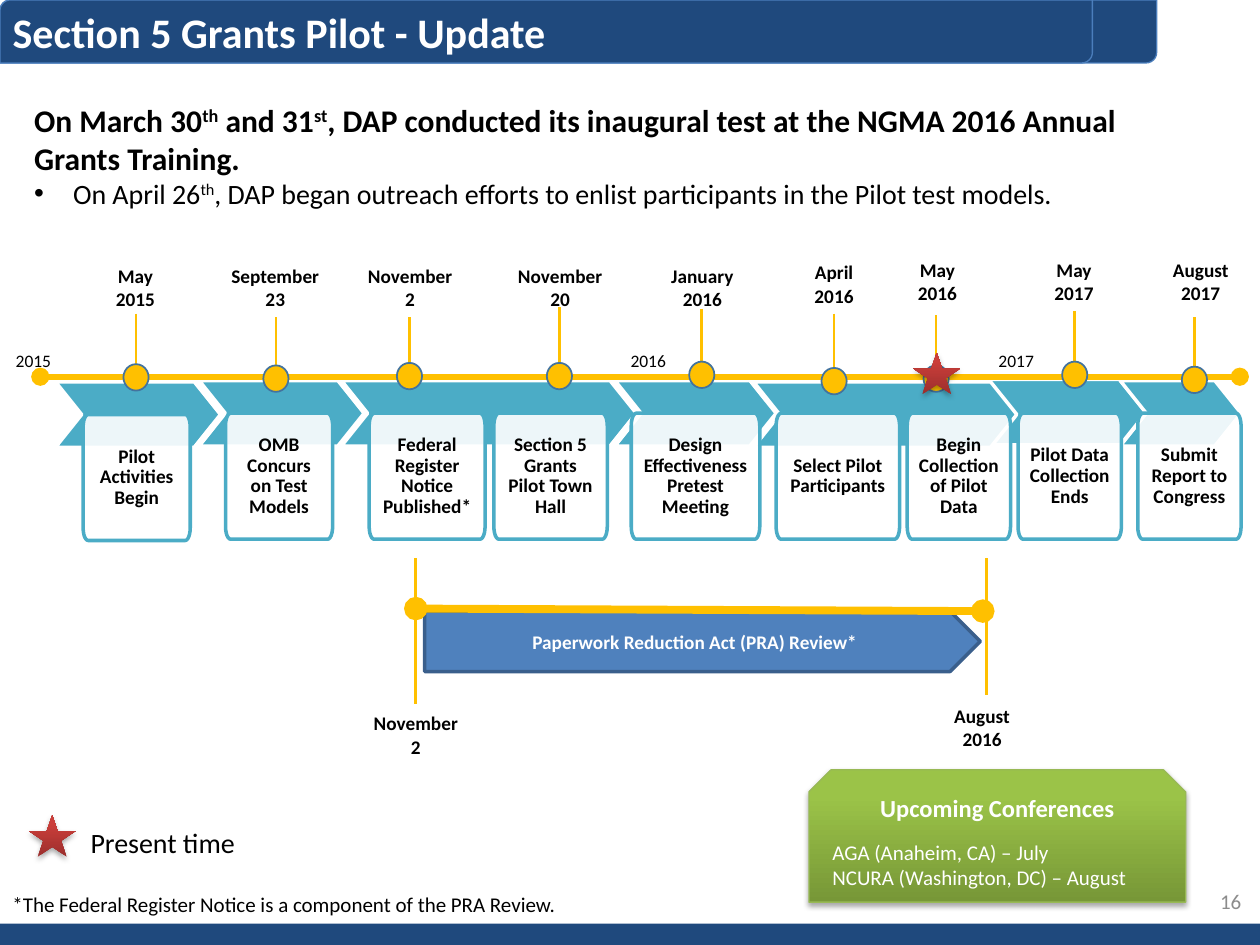
from collections import namedtuple
from math import cos, pi, sin

from lxml.etree import SubElement
from pptx import Presentation
from pptx.dml.color import RGBColor
from pptx.enum.shapes import MSO_CONNECTOR, MSO_SHAPE
from pptx.enum.text import MSO_ANCHOR, MSO_AUTO_SIZE, PP_ALIGN
from pptx.oxml.ns import qn
from pptx.util import Inches, Pt

NAVY, TEAL, GOLD, WHITE, BLACK = "1F497D", "4BACC6", "FFC000", "FFFFFF", "000000"
DOT_WIDTH, DOT_HEIGHT = 2, 2.1

Milestone = namedtuple("Milestone", "task left top width date date_left date_top date_width stem stem_top dot_top")
MILESTONES = [
    Milestone("Pilot Activities Begin", 6.6, 32.9, 8.5, "May\n2015", 5.9, 20.5, 9.7, 10.8, 24.9, 28.9),
    Milestone("OMB Concurs on Test Models", 17.9, 32.8, 8.5, "September 23", 17, 20.5, 9.7, 21.9, 25.2, 29),
    Milestone("Federal Register Notice Published*", 29.3, 32.8, 9.2, "November 2", 28, 20.5, 9.1, 32.5, 25.2, 28.8),
    Milestone("Section 5 Grants Pilot Town Hall", 39.2, 32.8, 9, "November 20", 39.4, 20.5, 10.1, 44.4, 24.4, 28.8),
    Milestone("Design Effectiveness Pretest Meeting", 50.1, 32.8, 10.2, "January\n2016", 49.1, 20.5, 13.3, 55.7, 24.5, 28.7),
    Milestone("Select Pilot Participants", 61.6, 32.8, 9.8, "April 2016", 62.9, 20.2, 6.6, 66.2, 24.9, 29.2),
    Milestone("Begin Collection of Pilot Data", 72, 32.8, 8.2, "May 2016", 71.1, 20, 6.6, 74.3, 25, 29),
    Milestone("Pilot Data Collection Ends", 80.8, 32.8, 8.2, "May 2017", 81.6, 20, 7.3, 85.3, 24.7, 28.7),
    Milestone("Submit Report to Congress", 90.3, 32.8, 8.2, "August 2017", 91.1, 20, 8.4, 94.8, 25.2, 29.1),
]
CHEVRONS = [(78.2, 30.1, 12.8), (48.8, 30.2, 12.8), (15.8, 30.2, 13.1), (27.1, 30.2, 23.4),
            (59.8, 30.3, 20.9), (88.9, 30.2, 9.6), (4.4, 30.3, 13.1)]


def cells(count):
    return Inches(count / 10)


def color(hex_code):
    return RGBColor.from_string(hex_code)


def add_spans(para, spans, size, hex_code=BLACK, bold=False):
    for text, raised in spans:
        span = para.add_run()
        span.text = text
        span.font.name = "Calibri"
        span.font.size = Pt(size)
        span.font.bold = bold
        span.font.color.rgb = color(hex_code)
        if raised:
            span.font._element.set("baseline", "30000")


def write(box, text, size, hex_code=BLACK, bold=False, align=PP_ALIGN.LEFT, anchor=MSO_ANCHOR.TOP):
    frame = box.text_frame
    frame.word_wrap = True
    frame.vertical_anchor = anchor
    for number, line in enumerate(text.split("\n")):
        para = frame.add_paragraph() if number else frame.paragraphs[0]
        para.alignment = align
        add_spans(para, [(line, False)], size, hex_code, bold)
    return frame


def add_label(page, area, text, size, **style):
    return write(page.shapes.add_textbox(*map(cells, area)), text, size, **style)


def paint(shape, fill, line=None, width=1):
    shape.shadow.inherit = False
    shape.fill.solid()
    shape.fill.fore_color.rgb = color(fill)
    outline(shape, line, width)


def outline(shape, line, width):
    if line:
        shape.line.color.rgb = color(line)
        shape.line.width = Pt(width)
    else:
        shape.line.fill.background()


def add_block(page, kind, area, fill, line=None, width=1):
    shape = page.shapes.add_shape(kind, *map(cells, area))
    paint(shape, fill, line, width)
    return shape


def add_glossy(page, kind, area, dark, light, line=None):
    shape = add_block(page, kind, area, dark, line, 0.75)
    shape.fill.gradient()
    shape.fill.gradient_angle = 90
    for stop, hex_code, position in zip(shape.fill.gradient_stops, (dark, light), (0, 0.8)):
        stop.color.rgb = color(hex_code)
        stop.position = position
    effects = shape.element.spPr.find(qn("a:effectLst"))
    shadow = SubElement(effects, qn("a:outerShdw"), blurRad=str(Pt(3.1)), dist=str(Pt(1.8)),
                        dir="5400000", rotWithShape="0")
    tint = SubElement(shadow, qn("a:srgbClr"), val=BLACK)
    SubElement(tint, qn("a:alpha"), val="35000")
    return shape


def add_star(page, left, top):
    add_glossy(page, MSO_SHAPE.STAR_5_POINT, (left, top, 3.7, 3.3), "9C2F2D", "CB3E3A")


def add_line(page, start, end, width, round_ends=False):
    line = page.shapes.add_connector(MSO_CONNECTOR.STRAIGHT, *map(cells, start + end))
    line.line.color.rgb = color(GOLD)
    line.line.width = Pt(width)
    if round_ends:
        for tag in ("a:headEnd", "a:tailEnd"):
            SubElement(line.line._ln, qn(tag), type="oval")
    SubElement(line.element.spPr, qn("a:effectLst"))


def add_card(page, left, top, width, text, height=10, across=0.4, down=1):
    corners = [(left + width - across, top + height - down), (left + across, top + height - down),
               (left + across, top + down), (left + width - across, top + down)]
    points = []
    for quarter, (x, y) in enumerate(corners):
        for step in range(7):
            angle = (quarter + step / 6) * pi / 2
            points.append((cells(x + across * cos(angle)), cells(y + down * sin(angle))))
    builder = page.shapes.build_freeform(*points[0])
    builder.add_line_segments(points[1:], close=True)
    card = builder.convert_to_shape()
    paint(card, WHITE, TEAL, 2)
    SubElement(card.fill._xPr.find(qn("a:solidFill"))[0], qn("a:alpha"), val="90000")
    frame = write(card, text, 11, bold=True, align=PP_ALIGN.CENTER, anchor=MSO_ANCHOR.MIDDLE)
    frame.margin_left = frame.margin_right = frame.margin_top = frame.margin_bottom = cells(0.9)
    frame.paragraphs[0].line_spacing = 0.9


def add_marker(page, item):
    add_line(page, (item.stem, item.stem_top), (item.stem, item.dot_top), 1.5)
    add_block(page, MSO_SHAPE.FLOWCHART_CONNECTOR,
              (item.stem - DOT_WIDTH / 2, item.dot_top, DOT_WIDTH, DOT_HEIGHT), GOLD, "43739E")
    add_label(page, (item.date_left, item.date_top, item.date_width, 4.7), item.date, 11,
              bold=True, align=PP_ALIGN.CENTER)


def place(box, area):
    box.left, box.top, box.width, box.height = map(cells, area)
    box.text_frame.auto_size = MSO_AUTO_SIZE.NONE


def add_heading(page):
    title = page.shapes.title
    for area in ((0, 0, 91.8, 5), (0, 0, 86.7, 5)):
        bar = add_block(page, MSO_SHAPE.ROUND_2_DIAG_RECTANGLE, area, NAVY, "4B7EBC", 0.75)
        title.element.addprevious(bar.element)
    place(title, (0, 0, 86.7, 5))
    write(title, "Section 5 Grants Pilot - Update", 24, WHITE, True)


def add_summary(page):
    body = page.placeholders[1]
    place(body, (1.7, 7.5, 92.2, 9.8))
    lead = body.text_frame.paragraphs[0]
    detail = body.text_frame.add_paragraph()
    for para, indent, bullet in ((lead, 0, None), (detail, cells(3.1), "•")):
        para.space_before = Pt(0)
        properties = para._p.get_or_add_pPr()
        properties.set("marL", str(indent))
        properties.set("indent", str(-indent))
        if bullet:
            SubElement(properties, qn("a:buChar"), char=bullet)
        else:
            SubElement(properties, qn("a:buNone"))
    add_spans(lead, [("On March 30", False), ("th", True), (" and 31", False), ("st", True),
                     (", DAP conducted its inaugural test at the NGMA 2016 Annual Grants Training.", False)],
              18, bold=True)
    add_spans(detail, [("On April 26", False), ("th", True),
                       (", DAP began outreach efforts to enlist participants in the Pilot test models.", False)], 16)


def add_timeline(page):
    for left, top, width in CHEVRONS:
        chevron = add_block(page, MSO_SHAPE.CHEVRON, (left, top, width, 5.2), TEAL, WHITE, 2)
        chevron.adjustments[0] = 0.4
    for item in MILESTONES:
        add_card(page, item.left, item.top, item.width, item.task)
    add_line(page, (3.2, 29.9), (98.4, 29.9), 3.5, round_ends=True)
    for item in MILESTONES:
        add_marker(page, item)
    for year, left in (("2015", 0), ("2016", 48.8), ("2017", 78)):
        add_label(page, (left, 27.3, 5.3, 2.7), year, 10, align=PP_ALIGN.CENTER)
    add_star(page, 72.5, 28)


def add_review(page):
    review = add_block(page, MSO_SHAPE.PENTAGON, (33.7, 48.5, 44.1, 4.8), "4F81BD", "3A5F8C", 2)
    write(review, "Paperwork Reduction Act (PRA) Review*", 11, WHITE, True, PP_ALIGN.CENTER, MSO_ANCHOR.MIDDLE)
    for stem, bottom, area, date in ((33, 55.9, (28.5, 56, 9, 4.7), "November 2"),
                                     (78.3, 55.2, (73.3, 55.4, 9.3, 4.7), "August\n2016")):
        add_line(page, (stem, 44.3), (stem, bottom), 1.5)
        add_label(page, area, date, 11, bold=True, align=PP_ALIGN.CENTER)
    add_line(page, (33, 48.3), (78, 48.5), 4.5, round_ends=True)


def add_conferences(page):
    panel = add_glossy(page, MSO_SHAPE.SNIP_2_SAME_RECTANGLE, (64.2, 61.1, 29.9, 10.5), "779737", "9BC348", "98B955")
    frame = write(panel, "Upcoming Conferences", 14, WHITE, True, PP_ALIGN.CENTER, MSO_ANCHOR.MIDDLE)
    for number, event in enumerate(("AGA (Anaheim, CA) – July", "NCURA (Washington, DC) – August")):
        para = frame.add_paragraph()
        para.alignment = PP_ALIGN.LEFT
        para.space_before = Pt(0 if number else 10)
        add_spans(para, [(event, False)], 12, WHITE)


def main():
    deck = Presentation()
    deck.slide_width, deck.slide_height = cells(100), cells(75)
    page = deck.slides.add_slide(deck.slide_layouts[1])
    add_block(page, MSO_SHAPE.RECTANGLE, (0, 73.3, 100, 1.7), NAVY)
    add_heading(page)
    add_summary(page)
    add_timeline(page)
    add_review(page)
    add_star(page, 2.3, 64.7)
    add_label(page, (6.2, 65, 25.9, 3.7), "Present time", 16)
    add_conferences(page)
    add_label(page, (0, 70.3, 83.2, 3), "*The Federal Register Notice is a component of the PRA Review.", 12)
    add_label(page, (76.2, 69.5, 23.3, 4), "16", 12, hex_code="8C8C8C",
              align=PP_ALIGN.RIGHT, anchor=MSO_ANCHOR.MIDDLE)
    deck.save("out.pptx")


if __name__ == "__main__":
    main()
